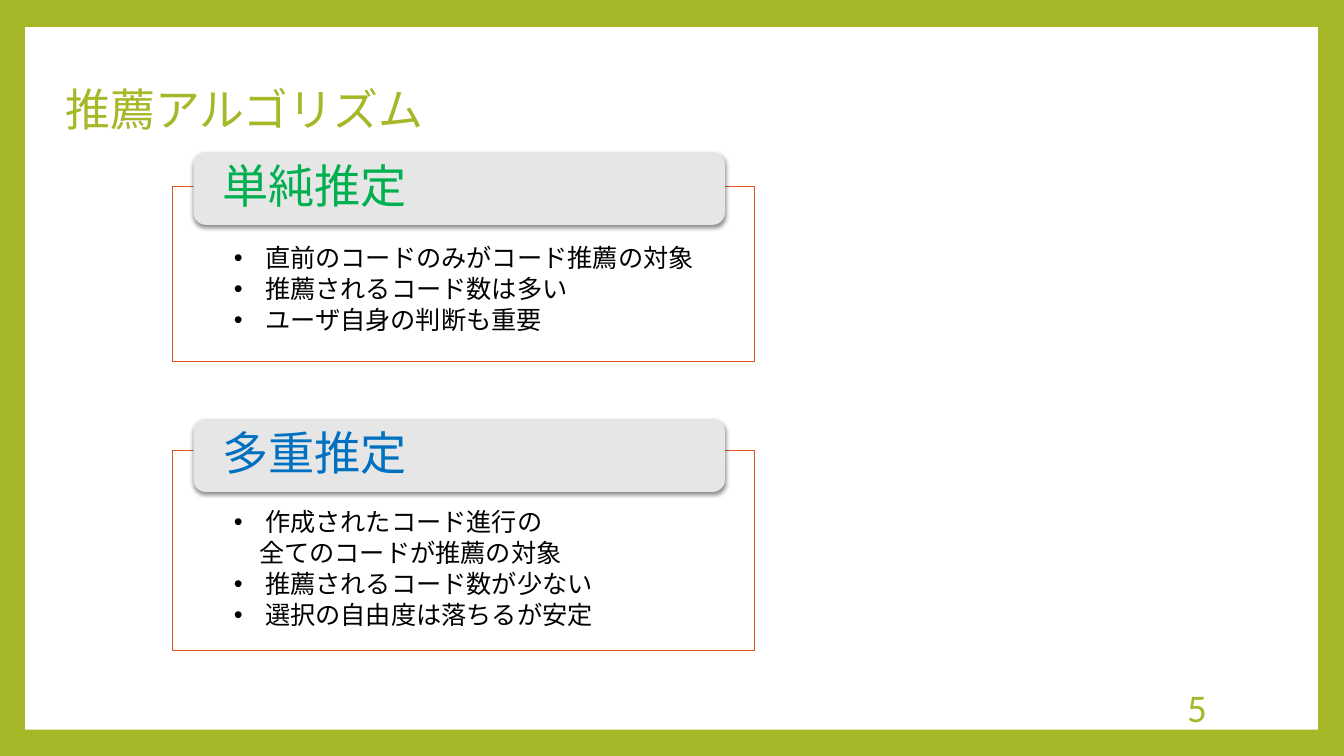
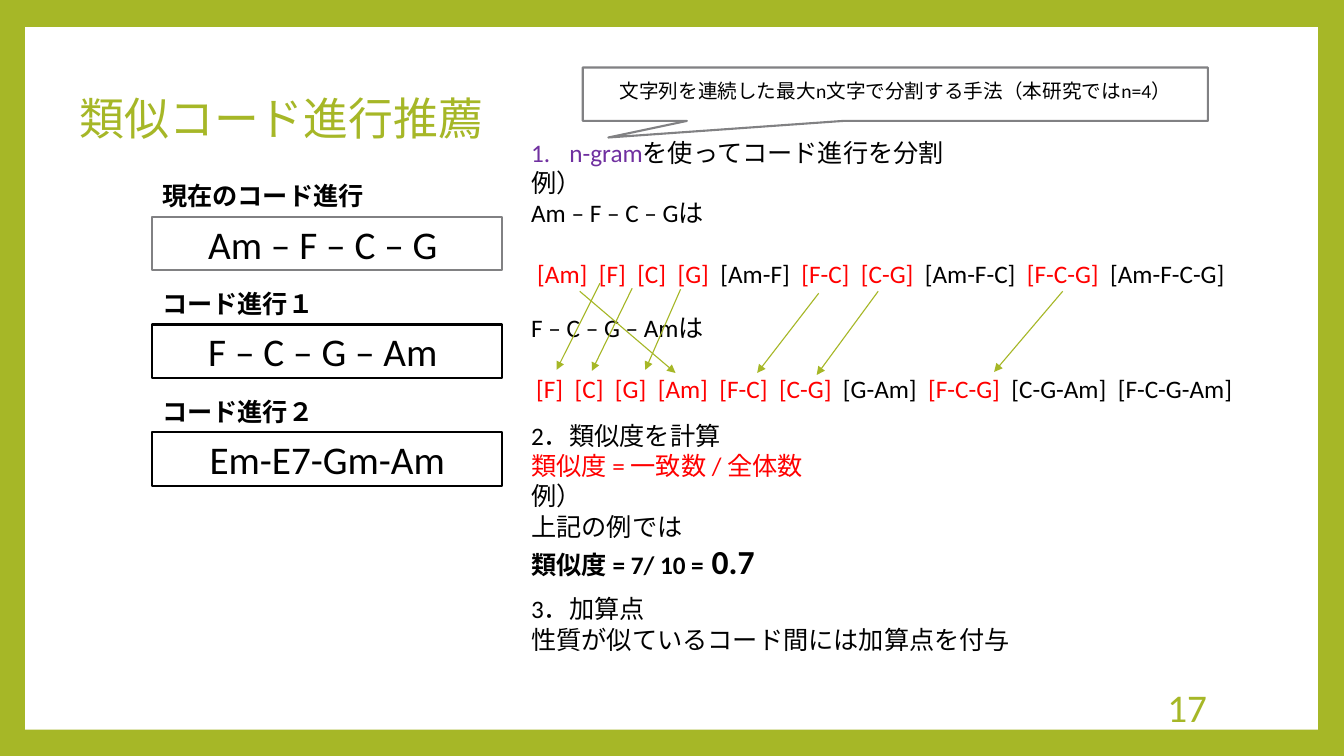
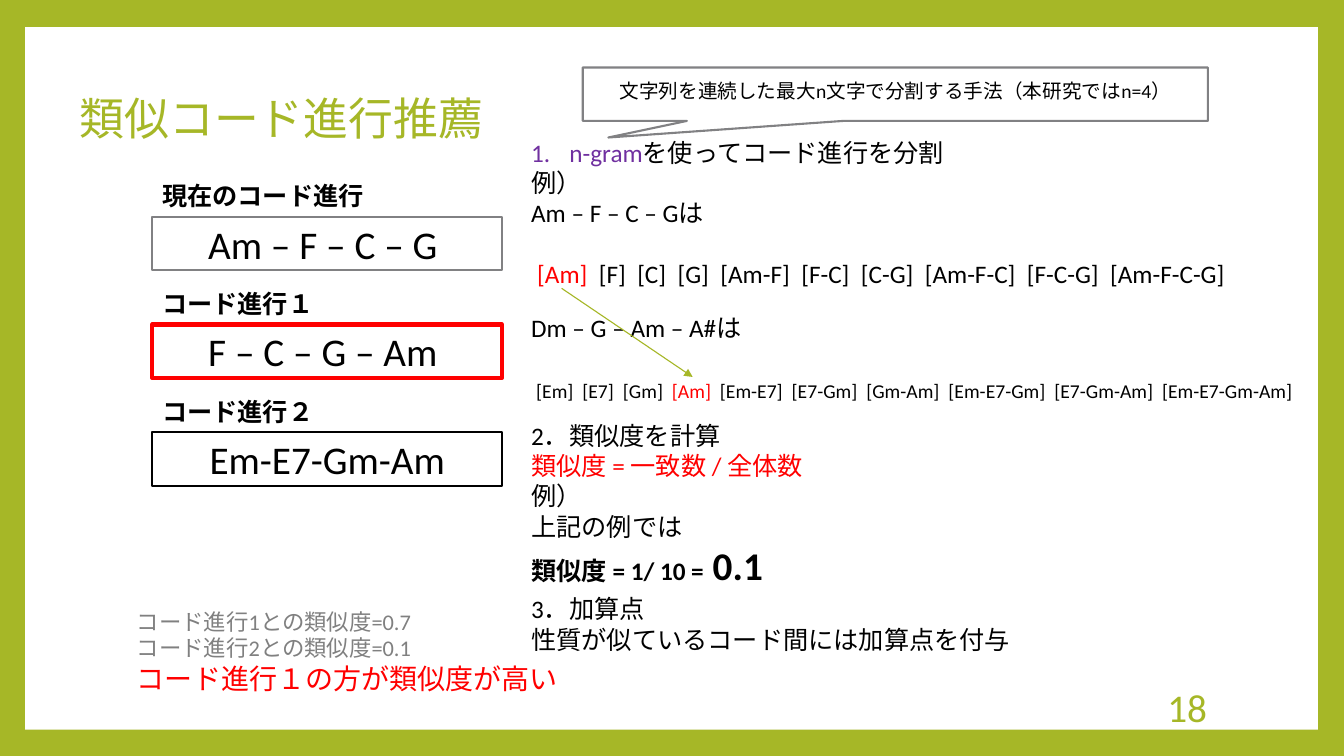
from lxml import etree
from pptx import Presentation
from pptx.dml.color import RGBColor
from pptx.enum import dml, lang, shapes, text
from pptx.oxml import ns
from pptx.util import Inches, Pt

GREEN, WHITE, BLACK, RED = "A6B727", "FFFFFF", "000000", "FF0000"
GREY, PALE, ORANGE, PURPLE = "818183", "E6E6E6", "DF5327", "7030A0"
FONT = "Calibri"
KIND, ALIGN, ANCHOR = shapes.MSO_SHAPE, text.PP_ALIGN, text.MSO_ANCHOR


def rgb(code):
    return RGBColor.from_string(code)


def sub(parent, tag, **attrs):
    node = etree.SubElement(parent, ns.qn(tag))
    for key, value in attrs.items():
        node.set(key, str(value))
    return node


def write(frame, runs, size=18, color=BLACK, bold=False, align=ALIGN.LEFT,
          before=0, after=0, lead=None, left=0, hang=0, mark=None):
    """Add one paragraph; runs is a string or a list of (text, format) pairs."""
    par = frame.paragraphs[0]
    if par.runs:
        par = frame.add_paragraph()
    par.alignment = align
    par.space_before, par.space_after = Pt(before), Pt(after)
    if lead:
        par.line_spacing = lead
    props = par._p.get_or_add_pPr()
    props.set("marL", str(Inches(left)))
    props.set("indent", str(Inches(-hang)))
    if mark == "1.":
        sub(props, "a:buAutoNum", type="arabicPeriod")
    elif mark:
        sub(props, "a:buFont", typeface="Arial")
        sub(props, "a:buChar", char=mark)
    for words, form in [(runs, {})] if isinstance(runs, str) else runs:
        run = par.add_run()
        run.text = words
        font = run.font
        font.name = FONT
        font.language_id = lang.MSO_LANGUAGE_ID.JAPANESE
        font.size = Pt(form.get("size", size))
        font.bold = form.get("bold", bold)
        font.color.rgb = rgb(form.get("color", color))
        if "space" in form:
            run._r.get_or_add_rPr().set("spc", str(round(form["space"] * 100)))


def setup(frame, anchor=ANCHOR.TOP, inset=(0.1, 0.05, 0.1, 0.05)):
    frame.word_wrap = True
    frame.auto_size = text.MSO_AUTO_SIZE.NONE
    frame.vertical_anchor = anchor
    (frame.margin_left, frame.margin_top,
     frame.margin_right, frame.margin_bottom) = map(Inches, inset)
    return frame


def label(slide, box, **form):
    return setup(slide.shapes.add_textbox(*map(Inches, box)).text_frame, **form)


def shape(slide, box, kind=KIND.RECTANGLE, fill=WHITE, line=None, width=1.5):
    item = slide.shapes.add_shape(kind, *map(Inches, box))
    item.shadow.inherit = False
    item.fill.solid()
    item.fill.fore_color.rgb = rgb(fill)
    if line:
        item.line.color.rgb = rgb(line)
        item.line.width = Pt(width)
    else:
        item.line.fill.background()
    return item


def arrow(slide, start, end):
    item = slide.shapes.add_connector(
        shapes.MSO_CONNECTOR.STRAIGHT, *map(Inches, start + end))
    item.line.color.rgb = rgb(GREEN)
    item.line.width = Pt(0.8)
    sub(item.line._ln, "a:tailEnd", type="triangle")
    sub(item._element.spPr, "a:effectLst")


def backdrop(deck, slide):
    """Give the master its green border and white panel."""
    fill = deck.slide_master.background.fill
    fill.solid()
    fill.fore_color.rgb = rgb(GREEN)
    panel = shape(slide, (0.25, 0.27, 12.82, 6.97))
    deck.slide_master.shapes._spTree.insert(2, panel._element)


def page(deck, title, number, left, top):
    slide = deck.slides.add_slide(deck.slide_layouts[5])
    head = slide.shapes.title
    head.left, head.top, head.width, head.height = map(
        Inches, (left, top, 9.75, 1.4))
    write(setup(head.text_frame, ANCHOR.MIDDLE), title,
          size=32, color=GREEN, lead=0.9)
    write(label(slide, (10.2, 6.81, 1.87, 0.4), anchor=ANCHOR.MIDDLE),
          str(number), size=28, color=GREEN, align=ALIGN.RIGHT)
    return slide


def method(slide, box, tab, title, color, points):
    """Outlined card with a raised tab; a point is (text, has bullet)."""
    left, top, width, height = box
    shape(slide, box, line=ORANGE, width=0.8)
    body = label(slide, (left + 0.03, tab + 0.18, width, height),
                 inset=(0.58, top - tab + 0.41, 0.4, 0.2))
    for words, dot in points:
        form = dict(left=0.31, hang=0.31, mark="•") if dot else dict(left=0.25)
        write(body, words, lead=0.9, after=2.7, **form)
    raised = shape(slide, (left + 0.21, tab, 5.27, 0.72),
                   KIND.ROUNDED_RECTANGLE, PALE)
    glow = sub(raised._element.spPr.find(ns.qn("a:effectLst")), "a:outerShdw",
               blurRad=Pt(3), dist=Pt(2), dir=90 * 60000, rotWithShape=0)
    sub(sub(glow, "a:srgbClr", val=BLACK), "a:alpha", val=45000)
    face = setup(raised.text_frame, ANCHOR.MIDDLE, (0.25, 0, 0.25, 0))
    write(face, title, size=33, color=color, lead=0.9)


def chords(slide, left, top, chosen=None):
    """Column of captioned chord progressions, the chosen one framed in red."""
    rows = [("現在のコード進行", "Am – F – C – G ", GREY),
            ("コード進行１", "F – C – G – Am ", BLACK),
            ("コード進行２", "Em-E7-Gm-Am", BLACK)]
    for i, (name, notes, line) in enumerate(rows):
        y = top + 1.07 * i
        write(label(slide, (left, y, 3.47, 0.4)), name, bold=True)
        look = dict(line=RED, width=3) if i == chosen else dict(line=line)
        frame = shape(slide, (left, y + 0.41, 3.47, 0.53), **look)
        write(setup(frame.text_frame, ANCHOR.MIDDLE), notes,
              size=28, align=ALIGN.CENTER)


def grams(notes):
    count = len(notes)
    return ["[" + "-".join(notes[i:i + n]) + "]"
            for n in range(1, count + 1) for i in range(count - n + 1)]


def marked(own, other, size):
    """Runs for the n-grams in own, red where other has them too."""
    runs = []
    for gram in own:
        if runs:
            runs.append((" ", dict(space=0.226 * size)))
        runs.append((gram, dict(color=RED if gram in other else BLACK)))
    return runs


def callout(slide, box):
    note = shape(slide, box, KIND.RECTANGULAR_CALLOUT, line=GREY)
    note.adjustments[0], note.adjustments[1] = -0.459, 0.811
    write(setup(note.text_frame, ANCHOR.MIDDLE, (0.1, 0.05, 0.1, 0.12)),
          "文字列を連続した最大n文字で分割する手法（本研究ではn=4）",
          size=14, align=ALIGN.CENTER)


def steps(slide, left, top, name, notes, size, gap, score, big):
    """The three steps of the calculation against one progression."""
    base, other = grams(["Am", "F", "C", "G"]), grams(notes)
    split = label(slide, (left, top, 8.1, 2.76))
    write(split, [("n-gram", dict(color=PURPLE)), ("を使ってコード進行を分割", {})],
          left=0.38, hang=0.38, mark="1.")
    write(split, "例）")
    write(split, "Am – F – C – Gは")
    write(split, marked(base, other, 18), left=0.06, before=22)
    write(split, name + "は", before=17)
    write(split, marked(other, base, size), size=size, left=0.05, before=gap)

    rate = label(slide, (left, top + 2.81, 5.49, 1.72))
    write(rate, "2．類似度を計算")
    write(rate, "類似度 = 一致数 / 全体数", color=RED)
    write(rate, "例）")
    write(rate, "上記の例では")
    hits = len(set(base) & set(other))
    write(rate, [(f"類似度 = {hits}/ {len(base)} =", {}),
                 (" " + score, dict(size=big))], bold=True)

    bonus = label(slide, (left, top + 4.53, 5.49, 0.71))
    write(bonus, "3．加算点")
    write(bonus, "性質が似ているコード間には加算点を付与")


def similar(deck, number, arrows, chosen=None, **calc):
    slide = page(deck, "類似コード進行推薦", number, 0.69, 0.5)
    chords(slide, 1.51, 1.74, chosen)
    steps(slide, 5.17, 1.31, **calc)
    for start, end in arrows:
        arrow(slide, start, end)
    callout(slide, (5.78, 0.67, 6.2, 0.53))
    return slide


def verdict(slide, box):
    frame = label(slide, box)
    for i in (("1", "0.7"), ("2", "0.1")):
        write(frame, "コード進行{}との類似度={}".format(*i), size=16, color="808080")
    write(frame, "コード進行１の方が類似度が高い", size=20, color=RED)


def main():
    deck = Presentation()
    deck.slide_width, deck.slide_height = Inches(13.33), Inches(7.5)

    slide = page(deck, "推薦アルゴリズム", 5, 0.55, 0.41)
    backdrop(deck, slide)
    method(slide, (1.71, 1.85, 5.77, 1.74), 1.51, "単純推定", "00B050",
           [("直前のコードのみがコード推薦の対象", True),
            ("推薦されるコード数は多い", True),
            ("ユーザ自身の判断も重要", True)])
    method(slide, (1.71, 4.47, 5.77, 1.98), 4.16, "多重推定", "0070C0",
           [("作成されたコード進行の", True),
            ("全てのコードが推薦の対象", False),
            ("推薦されるコード数が少ない", True),
            ("選択の自由度は落ちるが安定", True)])

    similar(deck, 17,
            [((5.95, 2.81), (5.52, 3.67)), ((6.27, 2.86), (5.87, 3.68)),
             ((6.75, 2.87), (6.4, 3.67)), ((5.75, 2.89), (6.7, 3.7)),
             ((8.12, 2.91), (7.51, 3.7)), ((8.71, 2.89), (8.1, 3.72)),
             ((10.54, 2.89), (9.86, 3.69))],
            name="F – C – G – Am", notes=["F", "C", "G", "Am"],
            size=18, gap=22, score="0.7", big=24)

    slide = similar(deck, 18, [((5.57, 2.86), (6.87, 3.74))], chosen=1,
                    name="Dm – G – Am – A#", notes=["Em", "E7", "Gm", "Am"],
                    size=14, gap=26, score="0.1", big=28)
    verdict(slide, (1.26, 5.98, 9.65, 0.98))
    deck.save("out.pptx")


if __name__ == "__main__":
    main()
